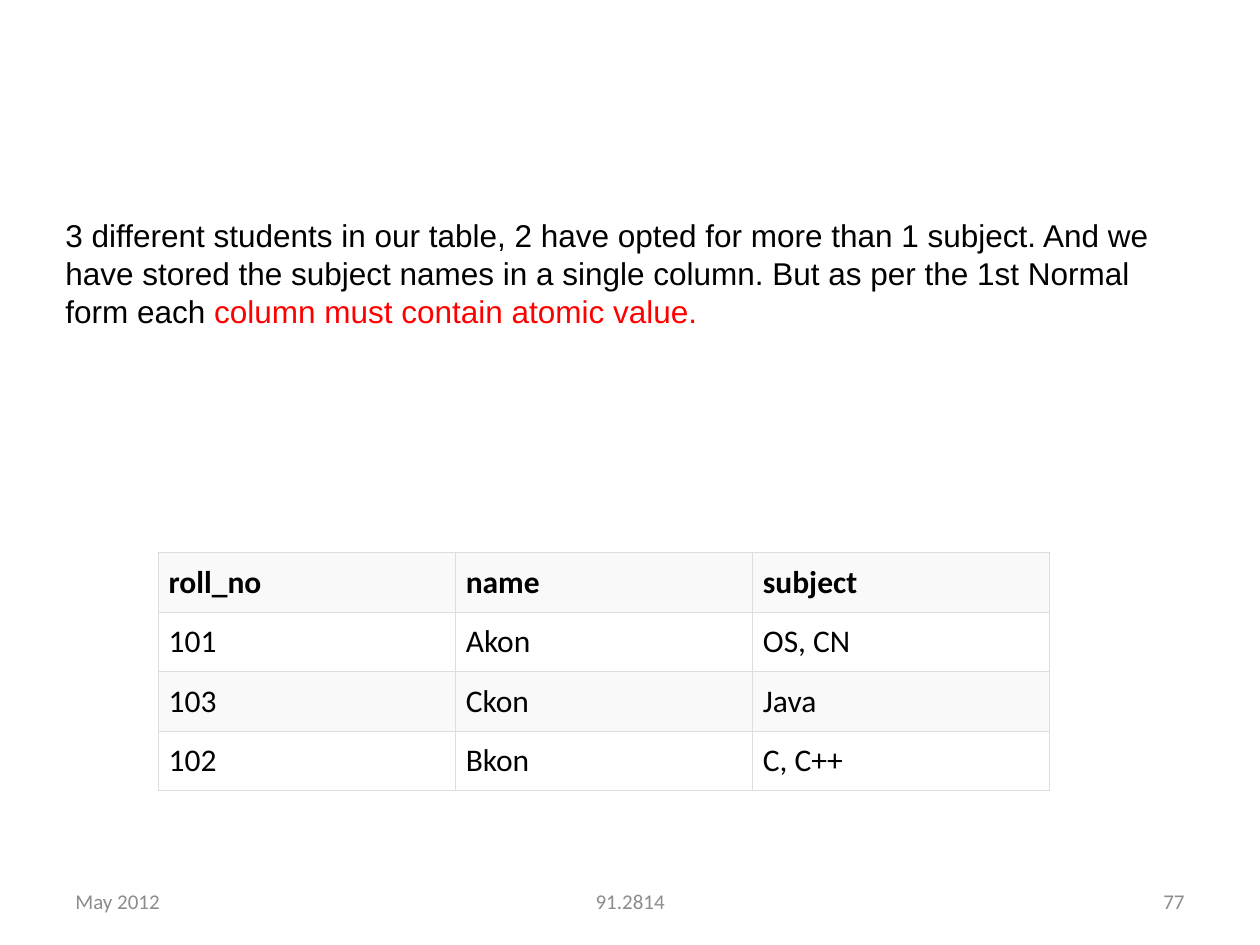
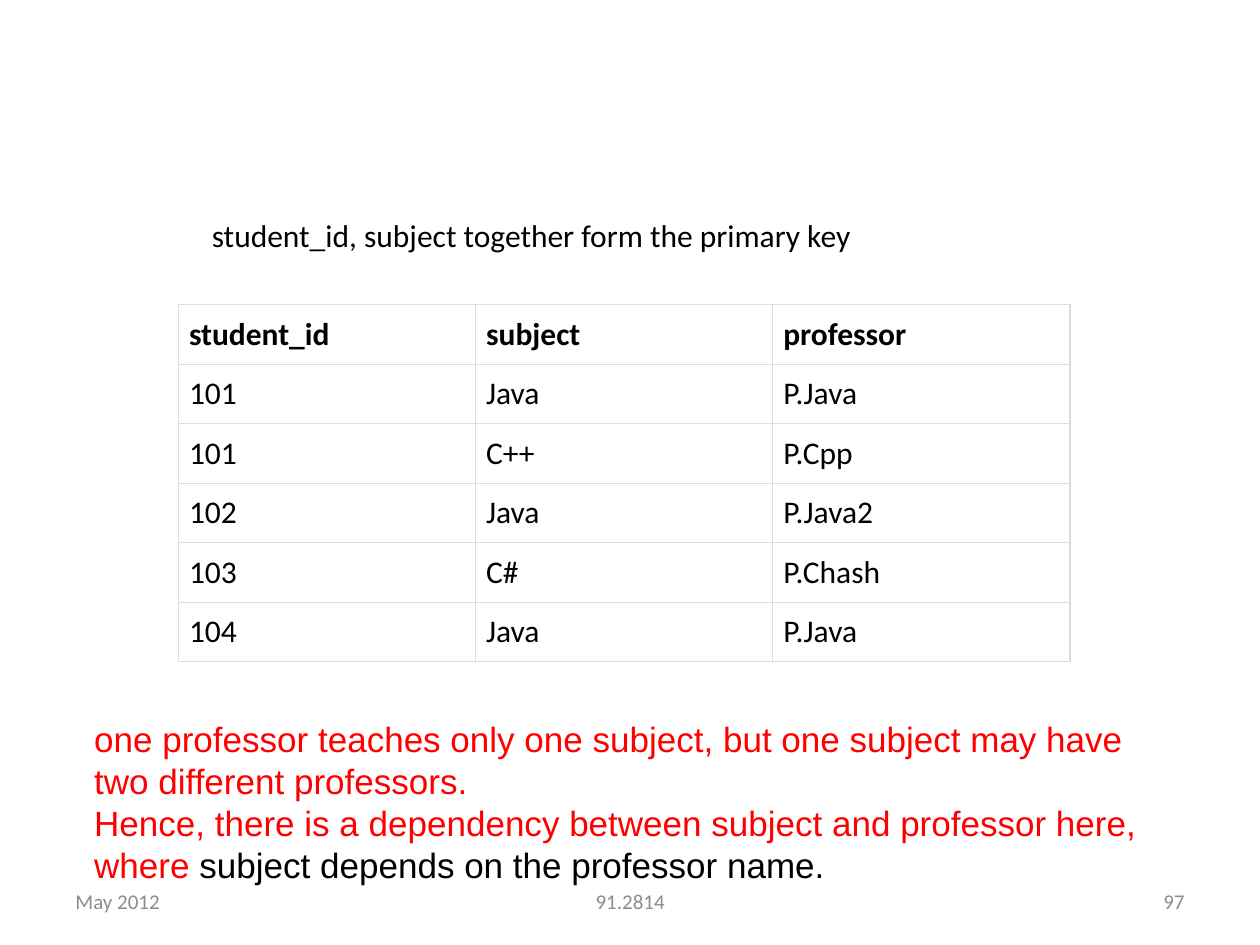
"""Build two slides on database normal forms, each with a table and remarks."""
import pptx
import pptx.dml.color
import pptx.enum.text
import pptx.oxml
import pptx.oxml.ns
import pptx.util

Cm = pptx.util.Cm
ALIGN = pptx.enum.text.PP_ALIGN
ANCHOR = pptx.enum.text.MSO_ANCHOR

BLACK, RED, GREY = "000000", "FF0000", "8C8C8C"
WHITE, STRIPE, BORDER = "FFFFFF", "F9F9F9", "DDDDDD"
COL_WIDTH, ROW_HEIGHT, CELL_MARGIN = 5.99, 1.2, 0.21
FOOTER_TOP, FOOTER_HEIGHT = 17.65, 1.02

FOOTERS = [
    ("May 2012", 1.27, 5.92, ALIGN.LEFT),
    ("91.2814", 8.68, 8.05, ALIGN.CENTER),
    ("{page}", 18.21, 5.92, ALIGN.RIGHT),
]

SLIDES = [
    {
        "page": 77,
        "table": {
            "left": 3.19, "top": 11.14, "fills": (STRIPE, WHITE),
            "rows": [
                ("roll_no", "name", "subject"),
                ("101", "Akon", "OS, CN"),
                ("103", "Ckon", "Java"),
                ("102", "Bkon", "C, C++"),
            ],
        },
        "remarks": [
            {
                "box": (1.07, 4.23, 22.43, 4.37), "font": "Arial", "size": 18,
                "text": [[
                    ("3 different students in our table, 2 have opted for more than "
                     "1 subject. And we have stored the subject names in a single "
                     "column. But as per the 1st Normal form each ", BLACK),
                    ("column must contain atomic value.", RED),
                ]],
            },
        ],
    },
    {
        "page": 97,
        "table": {
            "left": 3.6, "top": 6.14, "fills": (WHITE,),
            "rows": [
                ("student_id", "subject", "professor"),
                ("101", "Java", "P.Java"),
                ("101", "C++", "P.Cpp"),
                ("102", "Java", "P.Java2"),
                ("103", "C#", "P.Chash"),
                ("104", "Java", "P.Java"),
            ],
        },
        "remarks": [
            {
                "box": (4.02, 4.23, 18.62, 1.27), "font": "Calibri", "size": 18,
                "text": [[("student_id, subject together form the primary key", BLACK)]],
            },
            {
                "box": (1.65, 14.33, 22.48, 3.68), "font": "Arial", "size": 20,
                "text": [
                    [("one professor teaches only one subject, but one subject may "
                      "have two different professors.", RED)],
                    [("Hence, there is a dependency between subject and professor "
                      "here, where ", RED),
                     ("subject depends on the professor name.", BLACK)],
                ],
            },
        ],
    },
]


def rgb(color):
    """Turn a hex string into a colour."""
    return pptx.dml.color.RGBColor.from_string(color)


def write(tf, text, font="Calibri", size=18, bold=False, align=ALIGN.LEFT):
    """Fill a text frame with paragraphs made of (text, colour) runs."""
    for i, runs in enumerate(text):
        p = tf.add_paragraph() if i else tf.paragraphs[0]
        p.alignment = align
        for words, color in runs:
            r = p.add_run()
            r.text = words
            r.font.name = font
            r.font.size = pptx.util.Pt(size)
            r.font.bold = bold
            r.font.color.rgb = rgb(color)


def add_text(s, box, text, anchor=ANCHOR.TOP, **style):
    """Add a wrapping text box, its place given in centimetres."""
    tf = s.shapes.add_textbox(*map(Cm, box)).text_frame
    tf.word_wrap = True
    tf.vertical_anchor = anchor
    write(tf, text, **style)


def add_borders(cell):
    """Draw a thin line on all four sides of a cell."""
    tc_pr = cell._tc.get_or_add_tcPr()
    for side in "LRTB":
        tc_pr.append(pptx.oxml.parse_xml(
            f'<a:ln{side} {pptx.oxml.ns.nsdecls("a")} w="{pptx.util.Pt(0.75)}">'
            f'<a:solidFill><a:srgbClr val="{BORDER}"/></a:solidFill></a:ln{side}>'))


def add_table(s, left, top, fills, rows):
    """Add a table with a bold header whose row fills alternate."""
    count, width = len(rows), len(rows[0])
    table = s.shapes.add_table(
        count, width, Cm(left), Cm(top),
        Cm(COL_WIDTH * width), Cm(ROW_HEIGHT * count)).table
    table.horz_banding = False
    for column in table.columns:
        column.width = Cm(COL_WIDTH)
    for i, values in enumerate(rows):
        table.rows[i].height = Cm(ROW_HEIGHT)
        for j, value in enumerate(values):
            cell = table.cell(i, j)
            cell.margin_left = cell.margin_right = Cm(CELL_MARGIN)
            cell.margin_top = cell.margin_bottom = Cm(CELL_MARGIN)
            add_borders(cell)
            cell.fill.solid()
            cell.fill.fore_color.rgb = rgb(fills[i % len(fills)])
            write(cell.text_frame, [[(value, BLACK)]], bold=i == 0)


def add_footers(s, page):
    """Add the date, course number and page number."""
    for text, left, width, align in FOOTERS:
        add_text(s, (left, FOOTER_TOP, width, FOOTER_HEIGHT),
                 [[(text.format(page=page), GREY)]],
                 anchor=ANCHOR.MIDDLE, size=12, align=align)


def main():
    """Build and save the presentation."""
    prs = pptx.Presentation()
    prs.slide_width, prs.slide_height = Cm(25.4), Cm(19.05)
    for content in SLIDES:
        s = prs.slides.add_slide(prs.slide_layouts[6])
        add_footers(s, content["page"])
        add_table(s, **content["table"])
        for remark in content["remarks"]:
            add_text(s, **remark)
    prs.save("out.pptx")


if __name__ == "__main__":
    main()
